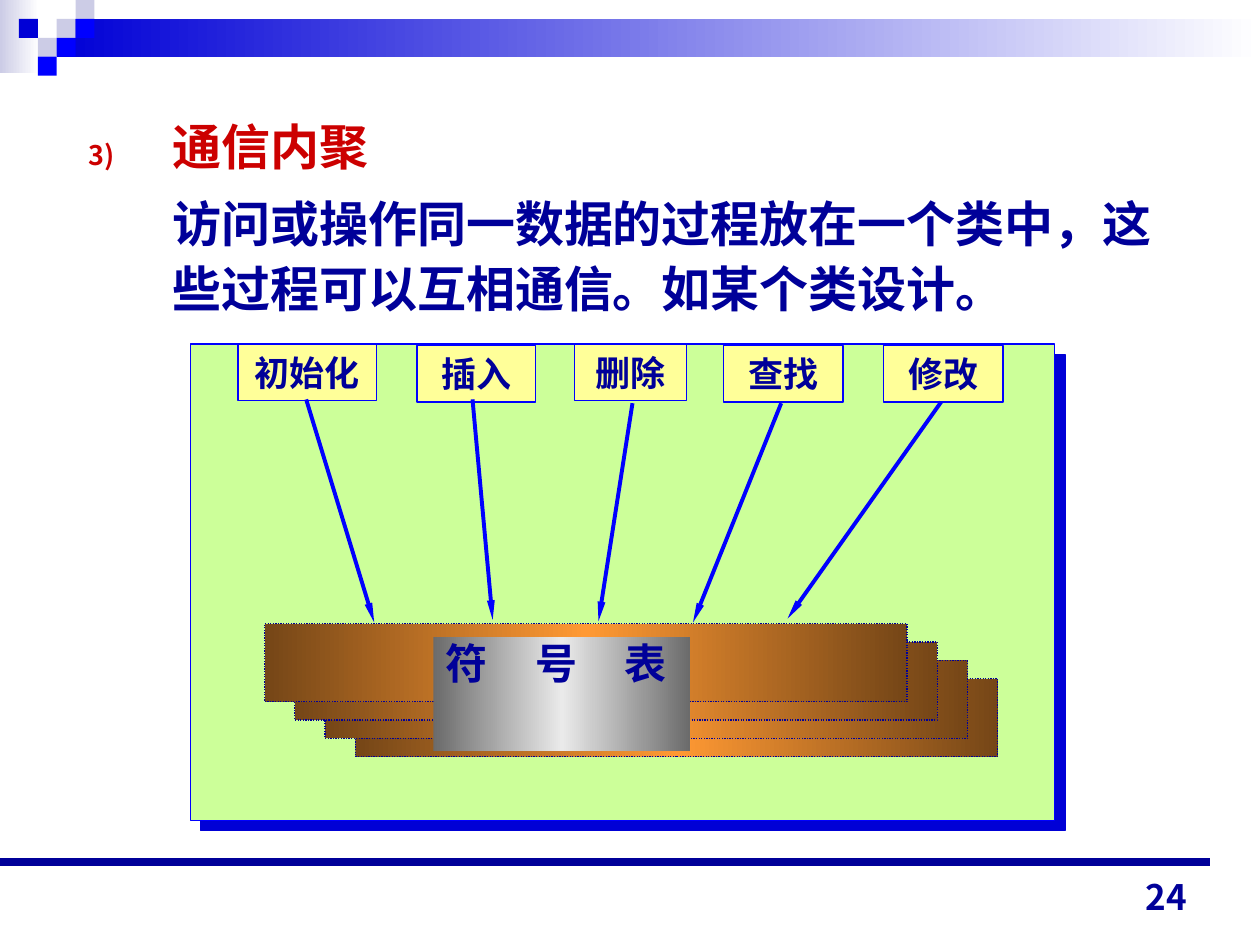
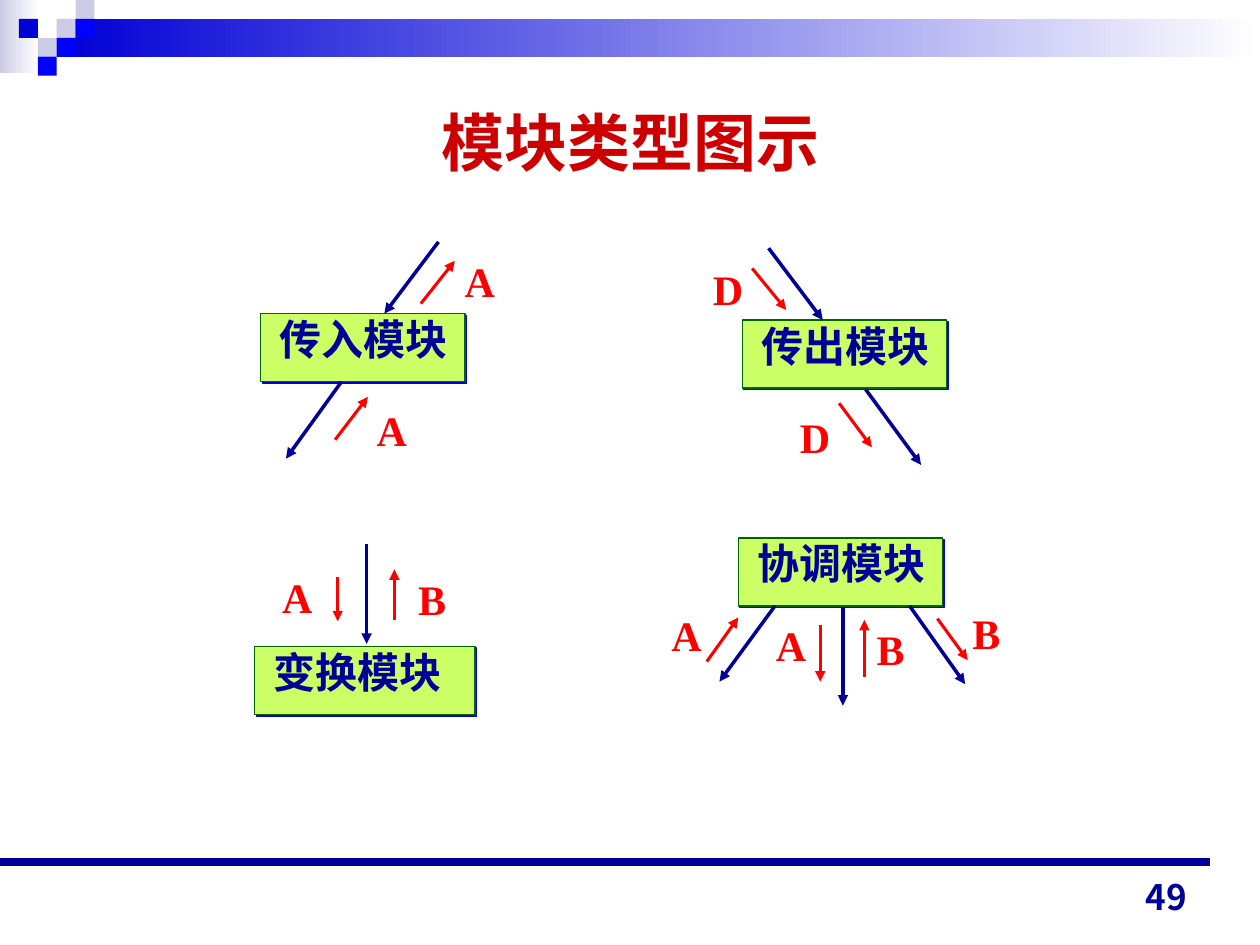
"""Build two slides on communicational cohesion and module types."""
from typing import NamedTuple

from lxml import etree
from pptx import Presentation
from pptx.dml.color import RGBColor
from pptx.enum.dml import MSO_LINE
from pptx.enum.shapes import MSO_CONNECTOR, MSO_SHAPE
from pptx.enum.text import MSO_ANCHOR, MSO_AUTO_SIZE, PP_ALIGN
from pptx.oxml.ns import qn
from pptx.util import Inches, Pt

RECTANGLE = MSO_SHAPE.RECTANGLE
STRAIGHT = MSO_CONNECTOR.STRAIGHT
DOTTED = MSO_LINE.ROUND_DOT
TOP, MIDDLE, BOTTOM = MSO_ANCHOR.TOP, MSO_ANCHOR.MIDDLE, MSO_ANCHOR.BOTTOM
LEFT, CENTER, RIGHT = PP_ALIGN.LEFT, PP_ALIGN.CENTER, PP_ALIGN.RIGHT
NO_AUTOFIT = MSO_AUTO_SIZE.NONE
TITLE_AND_CONTENT, TITLE_ONLY = 1, 5

WHITE = RGBColor(0xFF, 0xFF, 0xFF)
NAVY = RGBColor(0x00, 0x00, 0x99)
DEEP_BLUE = RGBColor(0x00, 0x00, 0xD6)
BRIGHT_BLUE = RGBColor(0x00, 0x00, 0xFF)
PALE_BLUE = RGBColor(0xCC, 0xCC, 0xE6)
TITLE_RED = RGBColor(0xCC, 0x00, 0x00)
DATA_RED = RGBColor(0xFF, 0x00, 0x00)
PANEL_GREEN = RGBColor(0xCC, 0xFF, 0x99)
MODULE_GREEN = RGBColor(0xCC, 0xFF, 0x66)
DARK_GREEN = RGBColor(0x00, 0x66, 0x00)
YELLOW = RGBColor(0xFF, 0xFF, 0x99)
BROWN = RGBColor(0x75, 0x46, 0x17)
ORANGE = RGBColor(0xFF, 0x99, 0x33)
GREY = RGBColor(0x6B, 0x6B, 0x6B)
SILVER = RGBColor(0xEA, 0xEA, 0xEA)

SERIF, SANS, CHINESE = "Times New Roman", "Arial", "Noto Sans CJK JP"
CELL = 0.15


class Box(NamedTuple):
    """Left, top, width and height in inches."""
    left: float
    top: float
    width: float
    height: float


class Ends(NamedTuple):
    """Start and end of an arrow in inches."""
    x1: float
    y1: float
    x2: float
    y2: float


class Operation(NamedTuple):
    """An operation box and the arrow from it to the symbol table."""
    name: str
    box: Box
    arrow: Ends


class Letter(NamedTuple):
    """A data name beside an arrow."""
    text: str
    left: float
    top: float


class Module(NamedTuple):
    """A module box with its calls, data flows and data names."""
    name: str
    box: Box
    calls: list[Ends]
    flows: list[Ends]
    letters: list[Letter]


CORNER_CELLS = [
    (3, 1, PALE_BLUE), (4, 0, PALE_BLUE), (4, 1, BRIGHT_BLUE), (2, 2, PALE_BLUE),
    (1, 1, DEEP_BLUE), (3, 2, BRIGHT_BLUE), (2, 3, BRIGHT_BLUE),
]
OPERATIONS = [
    Operation("初始化", Box(1.89, 2.73, 1.1, 0.45), Ends(2.43, 3.17, 2.97, 4.94)),
    Operation("插入", Box(3.31, 2.74, 0.94, 0.45), Ends(3.75, 3.17, 3.91, 4.92)),
    Operation("删除", Box(4.56, 2.73, 0.89, 0.45), Ends(5.02, 3.2, 4.75, 4.93)),
    Operation("查找", Box(5.74, 2.74, 0.95, 0.45), Ends(6.2, 3.2, 5.5, 4.94)),
    Operation("修改", Box(7.01, 2.74, 0.95, 0.45), Ends(7.47, 3.19, 6.25, 4.91)),
]
MODULES = [
    Module("传入模块", Box(2.07, 2.49, 1.62, 0.54),
           [Ends(3.48, 1.92, 3.05, 2.49), Ends(2.71, 3.03, 2.27, 3.64)],
           [Ends(3.34, 2.41, 3.61, 2.07), Ends(2.66, 3.49, 2.92, 3.15)],
           [Letter("A", 2.89, 3.16), Letter("A", 3.59, 1.98)]),
    Module("传出模块", Box(5.89, 2.54, 1.62, 0.54),
           [Ends(6.1, 1.97, 6.53, 2.54), Ends(6.87, 3.09, 7.31, 3.69)],
           [Ends(5.97, 2.13, 6.24, 2.46), Ends(6.66, 3.2, 6.92, 3.55)],
           [Letter("D", 6.25, 3.22), Letter("D", 5.56, 2.04)]),
    Module("变换模块", Box(2.02, 5.13, 1.75, 0.54),
           [Ends(2.91, 4.32, 2.91, 5.11)],
           [Ends(3.13, 4.92, 3.13, 4.52), Ends(2.68, 4.58, 2.68, 4.93)],
           [Letter("A", 2.14, 4.49), Letter("B", 3.22, 4.5)]),
    Module("协调模块", Box(5.86, 4.27, 1.62, 0.54),
           [Ends(6.15, 4.81, 5.71, 5.41), Ends(7.22, 4.81, 7.66, 5.43),
            Ends(6.69, 4.82, 6.69, 5.6)],
           [Ends(7.44, 4.91, 7.68, 5.24), Ends(5.61, 5.25, 5.86, 4.9),
            Ends(6.51, 4.96, 6.51, 5.41), Ends(6.86, 5.37, 6.86, 4.92)],
           [Letter("A", 6.06, 4.87), Letter("A", 5.23, 4.79),
            Letter("B", 6.86, 4.9), Letter("B", 7.62, 4.77)]),
]


def add_element(parent, tag: str, **attributes: str):
    """Append a drawing element to its parent."""
    return etree.SubElement(parent, qn(tag), attributes)


def add_run(paragraph, text: str, size: float, color: RGBColor, font: str = SERIF) -> None:
    """Add a bold run with Latin and Chinese fonts."""
    run = paragraph.add_run()
    run.text = text
    run.font.name = font
    run.font.size = Pt(size)
    run.font.bold = True
    run.font.color.rgb = color
    add_element(run.font._element, "a:ea", typeface=CHINESE)


def set_frame(shape, anchor, wrap: bool, left: float = 0.1, top: float = 0.05) -> None:
    """Set the anchor, wrapping and margins of a text frame."""
    frame = shape.text_frame
    frame.auto_size = NO_AUTOFIT
    frame.word_wrap = wrap
    frame.vertical_anchor = anchor
    frame.margin_left, frame.margin_right = Inches(left), Inches(0.1)
    frame.margin_top = frame.margin_bottom = Inches(top)


def place(shape, box: Box) -> None:
    """Move a shape to a box."""
    shape.left, shape.top, shape.width, shape.height = map(Inches, box)


def add_rectangle(slide, box: Box, colors: list[RGBColor], line: RGBColor | None = None,
                  shadow: float = 0):
    """Add a rectangle filled plainly or with a left-to-right gradient."""
    shape = slide.shapes.add_shape(RECTANGLE, *map(Inches, box))
    shape.shadow.inherit = False
    if len(colors) == 1:
        shape.fill.solid()
        shape.fill.fore_color.rgb = colors[0]
    else:
        shape.fill.gradient()
        shape.fill.gradient_angle = 0
        stops = shape._element.spPr.find(".//" + qn("a:gsLst"))
        for stop in list(stops):
            stops.remove(stop)
        for index, color in enumerate(colors):
            position = 100000 * index // (len(colors) - 1)
            stop = add_element(stops, "a:gs", pos=str(position))
            add_element(stop, "a:srgbClr", val=str(color))
    if line is None:
        shape.line.fill.background()
    else:
        shape.line.color.rgb = line
        shape.line.width = Pt(0.75)
    if shadow:
        effects = shape._element.spPr.find(qn("a:effectLst"))
        outer = add_element(effects, "a:outerShdw", dist=str(Pt(shadow)),
                            dir="2700000", algn="ctr", rotWithShape="0")
        add_element(outer, "a:srgbClr", val=str(DEEP_BLUE))
    return shape


def add_line(slide, ends: Ends, color: RGBColor, width: float):
    """Add a straight line without a shadow."""
    line = slide.shapes.add_connector(STRAIGHT, *map(Inches, ends))
    line.line.color.rgb = color
    line.line.width = Pt(width)
    add_element(line._element.spPr, "a:effectLst")
    return line


def add_arrow(slide, ends: Ends, color: RGBColor, width: float,
              head_width: str = "med", head_length: str = "med") -> None:
    """Add a line with a triangular head at its end."""
    arrow = add_line(slide, ends, color, width)
    add_element(arrow.line._get_or_add_ln(), "a:tailEnd", type="triangle",
                w=head_width, len=head_length)


def add_text(slide, box: Box, text: str, size: float, color: RGBColor, font: str = SERIF,
             anchor=TOP, align=LEFT, wrap: bool = False) -> None:
    """Add a text box with one run."""
    shape = slide.shapes.add_textbox(*map(Inches, box))
    set_frame(shape, anchor, wrap)
    paragraph = shape.text_frame.paragraphs[0]
    paragraph.alignment = align
    add_run(paragraph, text, size, color, font)


def add_frame(slide, number: str) -> None:
    """Draw the top band, corner cells, footer rule and page number."""
    add_rectangle(slide, Box(0, 0, 0.31, 0.58), [PALE_BLUE, WHITE])
    add_rectangle(slide, Box(0.45, 0.15, 9.55, 0.3), [DEEP_BLUE, WHITE])
    for column, row, color in CORNER_CELLS:
        add_rectangle(slide, Box(column * CELL, row * CELL, CELL, CELL), [color])
    add_line(slide, Ends(0, 6.84, 9.6, 6.84), NAVY, 4.5)
    add_text(slide, Box(7.19, 6.83, 2.33, 0.5), number, 20, NAVY, CHINESE,
             BOTTOM, RIGHT, True)


def add_cohesion_text(slide) -> None:
    """Fill the body with the numbered heading and its explanation."""
    slide.shapes._spTree.remove(slide.shapes.title._element)
    body = slide.placeholders[1]
    place(body, Box(0.6, 0.83, 8.8, 1.8))
    set_frame(body, TOP, True)
    heading = body.text_frame.paragraphs[0]
    explanation = body.text_frame.add_paragraph()
    for paragraph, indent in ((heading, -0.67), (explanation, 0)):
        properties = paragraph._p.get_or_add_pPr()
        properties.set("marL", str(Inches(0.67)))
        properties.set("indent", str(Inches(indent)))
        paragraph.line_spacing = Pt(37)
    properties = heading._p.get_or_add_pPr()
    add_element(add_element(properties, "a:buClr"), "a:srgbClr", val=str(TITLE_RED))
    add_element(properties, "a:buSzPct", val="55000")
    add_element(properties, "a:buFont", typeface=CHINESE)
    add_element(properties, "a:buAutoNum", type="arabicParenR", startAt="3")
    add_element(explanation._p.get_or_add_pPr(), "a:buNone")
    heading.space_before = Pt(0)
    explanation.space_before = Pt(7)
    add_run(heading, "通信内聚", 28, TITLE_RED)
    add_run(explanation, "访问或操作同一数据的过程放在一个类中，这些过程可以互相通信。如某个类设计。",
            28, NAVY)


def add_symbol_table(slide) -> None:
    """Draw the stacked bars and the symbol table label."""
    for step in reversed(range(4)):
        bar = add_rectangle(slide, Box(2.1 + 0.24 * step, 4.95 + 0.145 * step, 5.1, 0.62),
                            [BROWN, ORANGE, BROWN], NAVY)
        bar.line.dash_style = DOTTED
    label = add_rectangle(slide, Box(3.44, 5.06, 2.04, 0.9), [GREY, SILVER, GREY])
    set_frame(label, TOP, True, top=0)
    paragraph = label.text_frame.paragraphs[0]
    paragraph.alignment = LEFT
    tabs = add_element(paragraph._p.get_or_add_pPr(), "a:tabLst")
    for position in (0.71, 1.42):
        add_element(tabs, "a:tab", pos=str(Inches(position)), algn="l")
    add_run(paragraph, "符\t号\t表", 24, NAVY)


def build_cohesion_slide(presentation) -> None:
    """Build the slide on communicational cohesion."""
    slide = presentation.slides.add_slide(presentation.slide_layouts[TITLE_AND_CONTENT])
    add_frame(slide, "24")
    add_cohesion_text(slide)
    add_rectangle(slide, Box(1.51, 2.73, 6.86, 3.78), [PANEL_GREEN], BRIGHT_BLUE, 8.5)
    add_symbol_table(slide)
    for operation in OPERATIONS:
        shape = add_rectangle(slide, operation.box, [YELLOW], BRIGHT_BLUE)
        set_frame(shape, MIDDLE, False, top=0)
        paragraph = shape.text_frame.paragraphs[0]
        paragraph.alignment = CENTER
        add_run(paragraph, operation.name, 20, NAVY)
        add_arrow(slide, operation.arrow, BRIGHT_BLUE, 2.25, "sm", "lg")


def add_module(slide, module: Module) -> None:
    """Draw a module with its arrows and data names."""
    shape = add_rectangle(slide, module.box, [MODULE_GREEN], DARK_GREEN, 1.4)
    set_frame(shape, TOP, True, left=0.15, top=0)
    paragraph = shape.text_frame.paragraphs[0]
    paragraph.alignment = LEFT
    add_run(paragraph, module.name, 24, NAVY)
    for call in module.calls:
        add_arrow(slide, call, NAVY, 2)
    for flow in module.flows:
        add_arrow(slide, flow, DATA_RED, 1.75)
    for letter in module.letters:
        add_text(slide, Box(letter.left, letter.top, 0.44, 0.5), letter.text, 24, DATA_RED)


def build_modules_slide(presentation) -> None:
    """Build the slide on module types."""
    slide = presentation.slides.add_slide(presentation.slide_layouts[TITLE_ONLY])
    add_frame(slide, "49")
    title = slide.shapes.title
    place(title, Box(0.5, 0.5, 9, 1.25))
    set_frame(title, MIDDLE, True)
    paragraph = title.text_frame.paragraphs[0]
    paragraph.alignment = CENTER
    add_run(paragraph, "模块类型图示", 36, TITLE_RED, SANS)
    for module in MODULES:
        add_module(slide, module)


def main() -> None:
    """Create and save the presentation."""
    presentation = Presentation()
    presentation.slide_width, presentation.slide_height = Inches(10), Inches(7.5)
    build_cohesion_slide(presentation)
    build_modules_slide(presentation)
    presentation.save("out.pptx")


if __name__ == "__main__":
    main()
